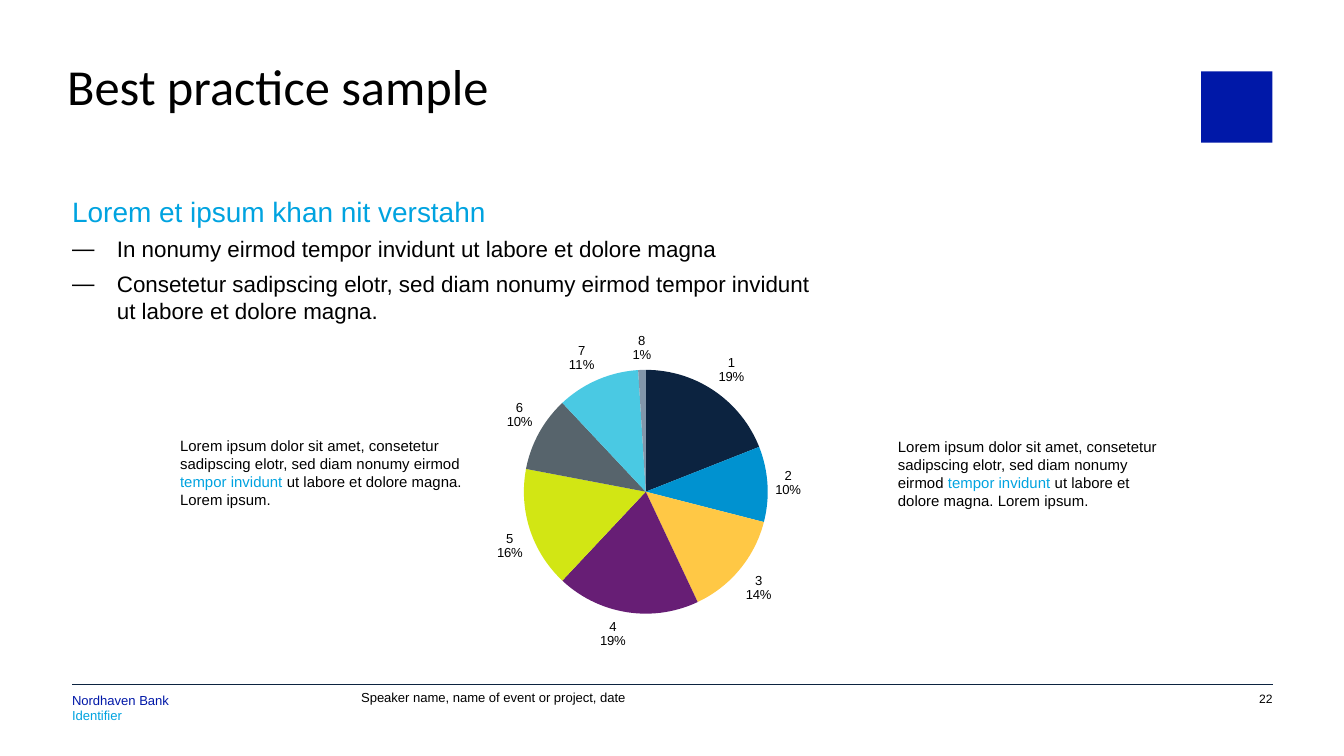
from lxml.etree import SubElement
from pptx import Presentation
from pptx.chart.data import CategoryChartData
from pptx.dml.color import RGBColor
from pptx.enum.chart import XL_CHART_TYPE, XL_LABEL_POSITION
from pptx.enum.shapes import MSO_CONNECTOR, MSO_SHAPE
from pptx.enum.text import MSO_ANCHOR, MSO_AUTO_SIZE, PP_ALIGN
from pptx.oxml import parse_xml
from pptx.oxml.ns import nsdecls, qn
from pptx.util import Pt

BLACK = RGBColor(0x00, 0x00, 0x00)
BLUE = RGBColor(0x00, 0x18, 0xA8)
CYAN = RGBColor(0x00, 0xA3, 0xE0)
NAVY = RGBColor(0x0C, 0x23, 0x40)
SLICE_COLORS = [
    NAVY,
    RGBColor(0x00, 0x92, 0xD0),
    RGBColor(0xFF, 0xC8, 0x45),
    RGBColor(0x67, 0x1E, 0x75),
    RGBColor(0xD2, 0xE6, 0x14),
    RGBColor(0x57, 0x64, 0x6C),
    RGBColor(0x4A, 0xC9, 0xE3),
    RGBColor(0x82, 0x96, 0xAA),
]
SHARES = [19, 10, 14, 19, 16, 10, 11, 1]

LEFT, RIGHT = 38.6, 681.8
FOOTER_TOP, FOOTER_HEIGHT = 366.5, 19.4
NOTE = [
    ("Lorem ipsum dolor sit amet, consetetur sadipscing elotr, "
     "sed diam nonumy eirmod ", BLACK),
    ("tempor invidunt ", CYAN),
    ("ut labore et dolore magna. Lorem ipsum.", BLACK),
]


def write(p, runs, size=8, font="Arial", align=PP_ALIGN.LEFT, spacing=None,
          gap=0, bullet=None, indent=0):
    """Fill a paragraph with (text, colour) runs; gap is the space around it."""
    p.alignment = align
    p.line_spacing = spacing
    p.space_before = p.space_after = Pt(gap)
    pPr = p._p.get_or_add_pPr()
    pPr.set("marL", str(Pt(indent)))
    pPr.set("indent", str(-Pt(indent)))
    if bullet:
        SubElement(pPr, qn("a:buFont"), typeface=font)
        SubElement(pPr, qn("a:buChar"), char=bullet)
    else:
        SubElement(pPr, qn("a:buNone"))
    for text, color in runs:
        r = p.add_run()
        r.text = text
        r.font.size = Pt(size)
        r.font.name = font
        r.font.color.rgb = color


class SlideBuilder:
    def __init__(self, s):
        self.s = s

    def frame(self, sp, box, top=0, right=0):
        """Place a text shape and return its text frame with plain insets."""
        sp.left, sp.top, sp.width, sp.height = map(Pt, box)
        tf = sp.text_frame
        tf.word_wrap = True
        tf.auto_size = MSO_AUTO_SIZE.NONE
        tf.vertical_anchor = MSO_ANCHOR.TOP
        tf.margin_left = tf.margin_bottom = 0
        tf.margin_top, tf.margin_right = Pt(top), Pt(right)
        return tf

    def title(self, text, box):
        tf = self.frame(self.s.shapes.title, box, right=42.5)
        write(tf.paragraphs[0], [(text, BLACK)], size=27, font="Calibri",
              spacing=0.8)

    def body(self, heading, items, box):
        tf = self.frame(self.s.placeholders[1], box)
        write(tf.paragraphs[0], [(heading, CYAN)], size=15, spacing=0.9, gap=2)
        for item in items:
            p = tf.add_paragraph()
            p.level = 1
            write(p, [(item, BLACK)], size=12, gap=2, bullet="—", indent=24)

    def text(self, paragraphs, box, top=0, **style):
        tf = self.frame(self.s.shapes.add_textbox(*map(Pt, box)), box, top)
        for i, runs in enumerate(paragraphs):
            p = tf.add_paragraph() if i else tf.paragraphs[0]
            write(p, runs, **style)

    def footer(self, paragraphs, left, width, **style):
        self.text(paragraphs, (left, FOOTER_TOP, width, FOOTER_HEIGHT), top=5,
                  **style)

    def square(self, left, top, side, color):
        sp = self.s.shapes.add_shape(MSO_SHAPE.RECTANGLE, Pt(left), Pt(top),
                                     Pt(side), Pt(side))
        sp.shadow.inherit = False
        sp.fill.solid()
        sp.fill.fore_color.rgb = color
        sp.line.fill.background()

    def rule(self, x1, x2, y):
        line = self.s.shapes.add_connector(MSO_CONNECTOR.STRAIGHT, Pt(x1),
                                           Pt(y), Pt(x2), Pt(y))
        line.line.color.rgb = NAVY
        line.line.width = Pt(0.5)
        SubElement(line._element.spPr, qn("a:effectLst"))

    def pie(self, values, colors, box, plot_box):
        """Add a pie; plot_box gives x, y, w, h as fractions of the chart."""
        data = CategoryChartData()
        data.categories = [str(i + 1) for i in range(len(values))]
        data.add_series("Series 1", values)
        chart = self.s.shapes.add_chart(XL_CHART_TYPE.PIE, *map(Pt, box),
                                        data).chart
        chart.has_title = chart.has_legend = False
        chart.font.size, chart.font.name = Pt(8), "Arial"
        chart.font.color.rgb = BLACK

        plot = chart.plots[0]
        for i, color in enumerate(colors):
            fill = plot.series[0].points[i].format.fill
            fill.solid()
            fill.fore_color.rgb = color

        plot.has_data_labels = True
        labels = plot.data_labels
        labels.show_value = False
        labels.show_category_name = labels.show_percentage = True
        labels.number_format, labels.number_format_is_linked = "0%", False
        labels.position = XL_LABEL_POSITION.OUTSIDE_END
        labels.font.size, labels.font.name = Pt(7), "Arial"
        labels.font.color.rgb = BLACK
        dLbls = labels._element
        separator = parse_xml(f"<c:separator {nsdecls('c')}>\n</c:separator>")
        dLbls.find(qn("c:showPercent")).getparent().find(
            qn("c:showBubbleSize")).addnext(separator)

        area = chart._chartSpace.chart.plotArea
        for old in area.findall(qn("c:layout")):
            area.remove(old)
        layout = parse_xml(f"<c:layout {nsdecls('c')}><c:manualLayout/></c:layout>")
        manual = layout[0]
        settings = [("layoutTarget", "inner"), ("xMode", "edge"),
                    ("yMode", "edge"), *zip("xywh", plot_box)]
        for tag, value in settings:
            SubElement(manual, qn(f"c:{tag}"), val=str(value))
        area.insert(0, layout)


def main():
    prs = Presentation()
    prs.slide_width, prs.slide_height = Pt(720), Pt(405)
    b = SlideBuilder(prs.slides.add_slide(prs.slide_layouts[1]))

    b.square(643.5, 38.2, 38.2, BLUE)
    b.rule(LEFT, RIGHT, FOOTER_TOP)
    b.footer([[("Nordhaven Bank", BLUE)], [("Identifier", CYAN)]], LEFT, 142,
             size=7, spacing=Pt(8))
    b.footer([[("Speaker name, name of event or project, date", BLACK)]],
             193.5, 180, size=7, spacing=Pt(6.5))
    b.footer([[("22", BLACK)]], RIGHT - 39, 39, size=6.5, spacing=Pt(6.5),
             align=PP_ALIGN.RIGHT)

    b.title("Best practice sample", (36, 36, 607, 42.5))
    b.body("Lorem et ipsum khan nit verstahn",
           ["In nonumy eirmod tempor invidunt ut labore et dolore magna",
            "Consetetur sadipscing elotr, sed diam nonumy eirmod tempor "
            "invidunt ut labore et dolore magna."],
           (LEFT, 106, 405.5, 72))
    b.pie(SHARES, SLICE_COLORS, (118, 162, 451.5, 201),
          (0.35, 0.18, 0.31, 0.65))
    for box in ((96.5, 234, 155.5, 54), (481, 234.5, 142, 51)):
        b.text([NOTE], box, gap=3)

    prs.save("out.pptx")


if __name__ == "__main__":
    main()
